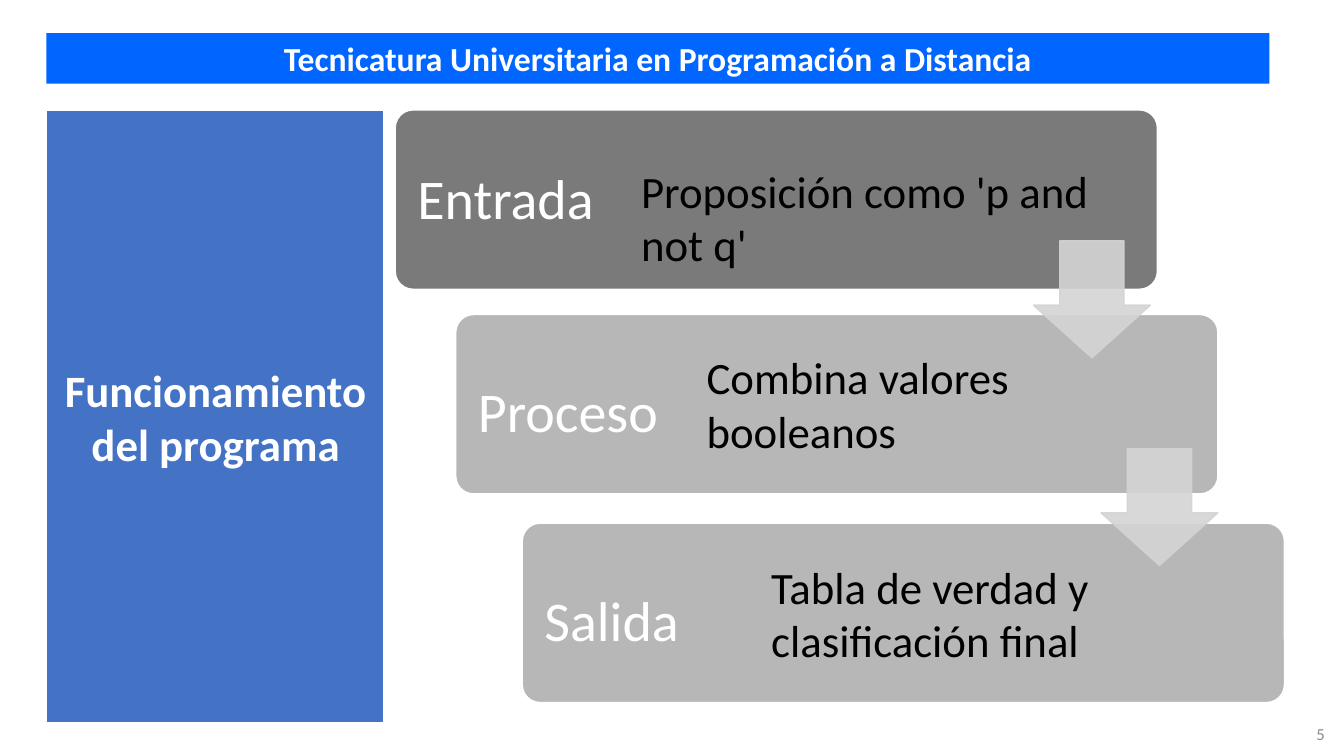
from lxml.etree import SubElement
from pptx import Presentation
from pptx.dml.color import RGBColor
from pptx.enum.shapes import MSO_SHAPE
from pptx.enum.text import MSO_ANCHOR, PP_ALIGN
from pptx.oxml.ns import qn
from pptx.util import Inches, Pt

FONT = "Calibri"
WHITE = "FFFFFF"
BLACK = "000000"
ARROW_GRAY = "D4D4D4"

STEPS = [
    {"name": "Entrada", "detail": "Proposición como 'p and not q'", "fill": "7A7A7A",
     "box": (3.92, 1.09), "label_top": 1.16, "detail_at": (6.26, 1.57)},
    {"name": "Proceso", "detail": "Combina valores booleanos", "fill": "B7B7B7",
     "box": (4.52, 3.12), "label_top": 3.28, "detail_at": (6.91, 3.42)},
    {"name": "Salida", "detail": "Tabla de verdad y clasificación final", "fill": "B7B7B7",
     "box": (5.18, 5.19), "label_top": 5.35, "detail_at": (7.55, 5.5)},
]
ARROWS = [(10.25, 2.39), (10.92, 4.45)]


def color(value):
    return RGBColor.from_string(value)


def write_text(shape, text, size, text_color, bold=False, align=PP_ALIGN.LEFT,
               anchor=MSO_ANCHOR.TOP):
    frame = shape.text_frame
    frame.word_wrap = True
    frame.vertical_anchor = anchor
    paragraph = frame.paragraphs[0]
    paragraph.text = text
    paragraph.alignment = align
    paragraph.font.name = FONT
    paragraph.font.size = Pt(size)
    paragraph.font.bold = bold
    paragraph.font.color.rgb = color(text_color)
    return paragraph


def add_box(slide, kind, left, top, width, height, fill, line=None, adjustments=()):
    shape = slide.shapes.add_shape(kind, Inches(left), Inches(top), Inches(width), Inches(height))
    shape.shadow.inherit = False
    shape.fill.solid()
    shape.fill.fore_color.rgb = color(fill)
    if line:
        shape.line.color.rgb = color(line)
        shape.line.width = Pt(1)
    else:
        shape.line.fill.background()
    for index, adjustment in enumerate(adjustments):
        shape.adjustments[index] = adjustment
    return shape


def add_text(slide, left, top, width, height, text, size, text_color, **options):
    text_box = slide.shapes.add_textbox(Inches(left), Inches(top), Inches(width), Inches(height))
    write_text(text_box, text, size, text_color, **options)
    return text_box


def add_step_label(slide, left, top, name):
    label = add_text(slide, left, top, 5.63, 1.67, name, 40, WHITE, anchor=MSO_ANCHOR.MIDDLE)
    frame = label.text_frame
    frame.margin_left = frame.margin_right = Inches(0.17)
    frame.margin_top = frame.margin_bottom = Inches(0.17)
    frame.paragraphs[0].line_spacing = 0.9


def add_arrow(slide, left, top):
    arrow = add_box(slide, MSO_SHAPE.DOWN_ARROW, left, top, 1.16, 1.16,
                    ARROW_GRAY, ARROW_GRAY, (0.55, 0.45))
    for swatch in arrow._element.spPr.iter(qn("a:srgbClr")):
        SubElement(swatch, qn("a:alpha"), val="90000")


def main():
    presentation = Presentation()
    presentation.slide_width = Inches(13.33)
    presentation.slide_height = Inches(7.5)
    slide = presentation.slides.add_slide(presentation.slide_layouts[6])

    header = add_box(slide, MSO_SHAPE.RECTANGLE, 0.46, 0.33, 12.13, 0.5, "0066FF")
    write_text(header, "Tecnicatura Universitaria en Programación a Distancia", 24, WHITE,
               bold=True, align=PP_ALIGN.CENTER)
    add_text(slide, 12.74, 7.1, 0.5, 0.37, "5", 12, "8C8C8C",
             align=PP_ALIGN.RIGHT, anchor=MSO_ANCHOR.MIDDLE)

    topic = add_box(slide, MSO_SHAPE.RECTANGLE, 0.46, 1.09, 3.36, 6.08, "4472C4", WHITE)
    write_text(topic, "Funcionamiento del programa", 32, WHITE,
               bold=True, align=PP_ALIGN.CENTER, anchor=MSO_ANCHOR.MIDDLE)
    add_box(slide, MSO_SHAPE.RECTANGLE, 3.81, 1.09, 8.77, 6.08, WHITE, WHITE)

    for step in STEPS:
        left, top = step["box"]
        add_box(slide, MSO_SHAPE.ROUNDED_RECTANGLE, left, top, 7.56, 1.78,
                step["fill"], WHITE, (0.1,))
        add_step_label(slide, left + 0.05, step["label_top"], step["name"])
    for left, top in ARROWS:
        add_arrow(slide, left, top)
    for step in STEPS:
        add_text(slide, *step["detail_at"], 4.9, 1.18, step["detail"], 32, BLACK)

    presentation.save("out.pptx")


if __name__ == "__main__":
    main()
